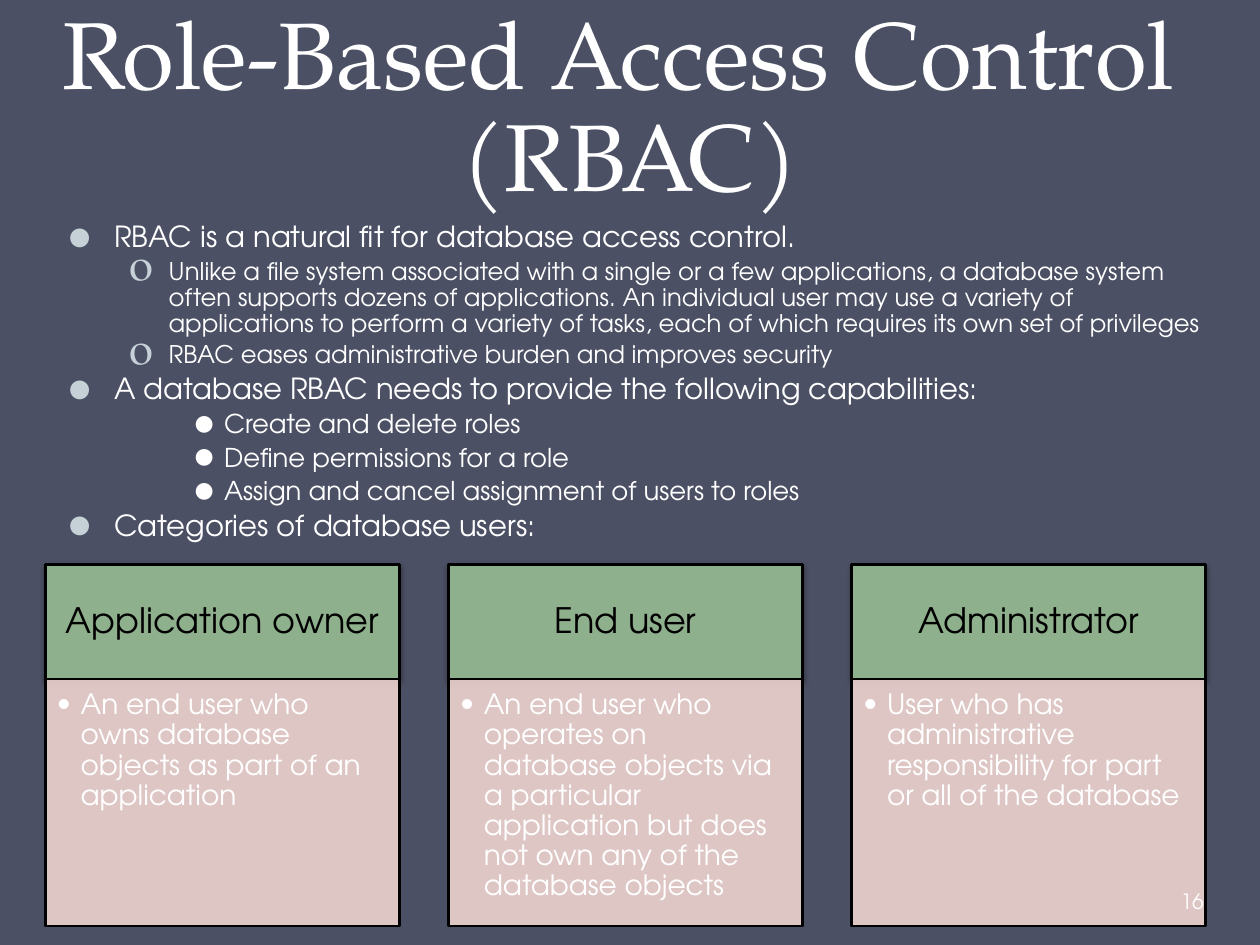
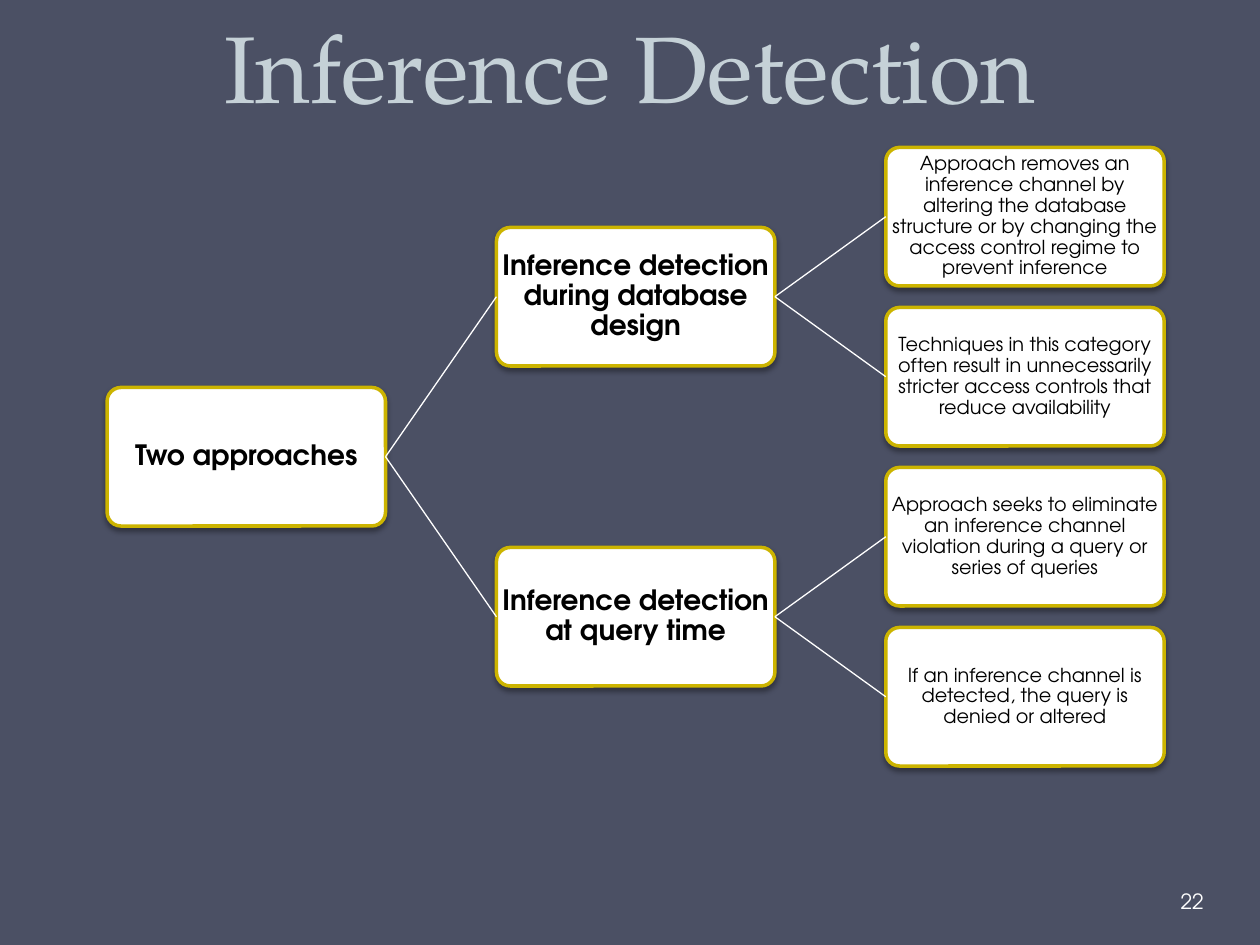
from dataclasses import dataclass

from lxml.etree import SubElement
from pptx import Presentation
from pptx.dml.color import RGBColor
from pptx.enum.shapes import MSO_CONNECTOR, MSO_SHAPE
from pptx.enum.text import MSO_ANCHOR, MSO_AUTO_SIZE, PP_ALIGN
from pptx.oxml.ns import qn
from pptx.util import Inches, Pt


@dataclass(frozen=True)
class Theme:
    """Colours, fonts and type sizes shared by the slides."""
    background: str = "4B5064"
    white: str = "FFFFFF"
    black: str = "000000"
    pale: str = "C5D1D7"
    green: str = "8FB08C"
    pink: str = "EED3D0"
    gold: str = "CCB400"
    title_font: str = "TeX Gyre Pagella"
    body_font: str = "TeX Gyre Adventor"
    title_size: float = 54
    title_leading: float = 58
    level_sizes: tuple = (16.6, 13.9, 14.8)
    card_head_size: float = 20
    card_body_size: float = 16
    branch_size: float = 16
    leaf_size: float = 11
    number_size: float = 12
    leading: float = 0.9


@dataclass(frozen=True)
class Bullet:
    """Bullet character with its colour, font, scale and indents in inches."""
    char: str
    color: str
    font: str
    scale: int
    margin: float
    hang: float


THEME = Theme()
LEVELS = (
    Bullet("•", THEME.pale, THEME.body_font, 180, 0.38, 0.38),
    Bullet("o", THEME.pale, THEME.title_font, 180, 0.81, 0.31),
    Bullet("•", THEME.white, THEME.body_font, 180, 1.25, 0.25),
)
CARD_BULLET = Bullet("•", THEME.white, THEME.body_font, 100, 0.19, 0.19)

RBAC_POINTS = (
    (0, "RBAC is a natural fit for database access control."),
    (1, "Unlike a file system associated with a single or a few applications, "
        "a database system often supports dozens of applications. An individual "
        "user may use a variety of applications to perform a variety of tasks, "
        "each of which requires its own set of privileges"),
    (1, "RBAC eases administrative burden and improves security"),
    (0, "A database RBAC needs to provide the following capabilities:"),
    (2, "Create and delete roles"),
    (2, "Define permissions for a role"),
    (2, "Assign and cancel assignment of users to roles"),
    (0, "Categories of database users:"),
)
USER_CATEGORIES = (
    ("Application owner",
     "An end user who owns database objects as part of an application"),
    ("End user",
     "An end user who operates on database objects via a particular application "
     "but does not own any of the database objects"),
    ("Administrator",
     "User who has administrative responsibility for part or all of the database"),
)
APPROACHES = (
    ("Inference detection during database design", (
        "Approach removes an inference channel by altering the database structure "
        "or by changing the access control regime to prevent inference",
        "Techniques in this category often result in unnecessarily stricter access "
        "controls that reduce availability")),
    ("Inference detection at query time", (
        "Approach seeks to eliminate an inference channel violation during a query "
        "or series of queries",
        "If an inference channel is detected, the query is denied or altered")),
)


def rgb(color):
    """Turn a hex string into a colour."""
    return RGBColor.from_string(color)


def add_run(p, text, size, color, font=THEME.body_font, bold=False):
    """Add one formatted run to a paragraph."""
    r = p.add_run()
    r.text = text
    r.font.size = Pt(size)
    r.font.name = font
    r.font.bold = bold
    r.font.color.rgb = rgb(color)


def add_bullet(p, bullet):
    """Give a paragraph a hanging bullet."""
    pPr = p._p.get_or_add_pPr()
    pPr.set("marL", str(Inches(bullet.margin)))
    pPr.set("indent", str(-Inches(bullet.hang)))
    SubElement(SubElement(pPr, qn("a:buClr")), qn("a:srgbClr"), val=bullet.color)
    SubElement(pPr, qn("a:buSzPct"), val=str(bullet.scale * 1000))
    SubElement(pPr, qn("a:buFont"), typeface=bullet.font)
    SubElement(pPr, qn("a:buChar"), char=bullet.char)


def set_frame(tf, anchor, insets):
    """Set wrapping, anchor and the left, top, right and bottom insets."""
    tf.word_wrap = True
    tf.auto_size = MSO_AUTO_SIZE.NONE
    tf.vertical_anchor = anchor
    (tf.margin_left, tf.margin_top,
     tf.margin_right, tf.margin_bottom) = map(Inches, insets)


def add_panel(slide, kind, box, fill, line, width, shadow=True):
    """Add a filled, outlined shape, with a soft shadow if asked."""
    sp = slide.shapes.add_shape(kind, *map(Inches, box))
    sp.fill.solid()
    sp.fill.fore_color.rgb = rgb(fill)
    sp.line.color.rgb = rgb(line)
    sp.line.width = Pt(width)
    sp.shadow.inherit = False
    if shadow:
        effects = sp._element.spPr.find(qn("a:effectLst"))
        outer = SubElement(effects, qn("a:outerShdw"), blurRad=str(Pt(3.1)),
                           dist=str(Pt(1.8)), dir="5400000", rotWithShape="0")
        clr = SubElement(outer, qn("a:srgbClr"), val=THEME.black)
        SubElement(clr, qn("a:alpha"), val="35000")
    return sp


def add_slide(prs, box, lines, color):
    """Add a title-only slide with its background and title."""
    slide = prs.slides.add_slide(prs.slide_layouts[5])
    slide.background.fill.solid()
    slide.background.fill.fore_color.rgb = rgb(THEME.background)
    title = slide.shapes.title
    title.left, title.top, title.width, title.height = map(Inches, box)
    set_frame(title.text_frame, MSO_ANCHOR.BOTTOM, (0.1, 0.05, 0.1, 0.05))
    p = title.text_frame.paragraphs[0]
    p.alignment = PP_ALIGN.CENTER
    p.line_spacing = Pt(THEME.title_leading)
    for i, line in enumerate(lines):
        if i:
            p.add_line_break()
        add_run(p, line, THEME.title_size, color, THEME.title_font)
    return slide


def add_number(slide, number):
    """Add the slide number at the lower right."""
    sp = slide.shapes.add_textbox(*map(Inches, (9.34, 6.95, 0.61, 0.4)))
    set_frame(sp.text_frame, MSO_ANCHOR.MIDDLE, (0.03, 0.05, 0.05, 0.05))
    add_run(sp.text_frame.paragraphs[0], number, THEME.number_size, THEME.white)


def add_outline(slide, box, points):
    """Add the multi-level bullet list."""
    tf = slide.shapes.add_textbox(*map(Inches, box)).text_frame
    set_frame(tf, MSO_ANCHOR.TOP, (0.1, 0.05, 0.1, 0.05))
    for i, (level, text) in enumerate(points):
        p = tf.add_paragraph() if i else tf.paragraphs[0]
        size = THEME.level_sizes[level]
        p.level = level
        add_bullet(p, LEVELS[level])
        p.line_spacing = THEME.leading
        p.space_before = Pt(round(0.2 * size, 1) if i else 0)
        add_run(p, text, size, THEME.white)


def add_card(slide, box, heading, text):
    """Add a heading band with a bulleted panel below it."""
    left, top, width, height = box
    head_height = 0.91
    head = add_panel(slide, MSO_SHAPE.RECTANGLE, (left, top, width, head_height),
                     THEME.green, THEME.black, 1.5)
    set_frame(head.text_frame, MSO_ANCHOR.MIDDLE, (0.16, 0.09, 0.16, 0.09))
    p = head.text_frame.paragraphs[0]
    p.alignment = PP_ALIGN.CENTER
    p.line_spacing = THEME.leading
    add_run(p, heading, THEME.card_head_size, THEME.black)

    panel = add_panel(slide, MSO_SHAPE.RECTANGLE,
                      (left, top + head_height, width, height - head_height),
                      THEME.pink, THEME.black, 1.5, shadow=False)
    clr = panel._element.spPr.find(qn("a:solidFill")).find(qn("a:srgbClr"))
    SubElement(clr, qn("a:alpha"), val="90000")
    set_frame(panel.text_frame, MSO_ANCHOR.TOP, (0.09, 0.09, 0.12, 0.14))
    p = panel.text_frame.paragraphs[0]
    p.alignment = PP_ALIGN.LEFT
    add_bullet(p, CARD_BULLET)
    p.line_spacing = THEME.leading
    add_run(p, text, THEME.card_body_size, THEME.white)


def add_cards(slide, box, cards):
    """Spread equal cards across the box."""
    left, top, width, height = box
    card_width = 2.81
    step = (width - card_width) / (len(cards) - 1)
    for i, (heading, text) in enumerate(cards):
        add_card(slide, (left + i * step, top, card_width, height), heading, text)


def add_node(slide, box, text, size, bold):
    """Add one rounded node of the tree."""
    sp = add_panel(slide, MSO_SHAPE.ROUNDED_RECTANGLE, box,
                   THEME.white, THEME.gold, 2)
    sp.adjustments[0] = 0.1
    set_frame(sp.text_frame, MSO_ANCHOR.MIDDLE, (0.01,) * 4)
    p = sp.text_frame.paragraphs[0]
    p.alignment = PP_ALIGN.CENTER
    p.line_spacing = THEME.leading
    add_run(p, text, size, THEME.black, bold=bold)
    return sp


def add_link(slide, parent, child):
    """Join the right side of a parent to the left side of its child."""
    cxn = slide.shapes.add_connector(MSO_CONNECTOR.STRAIGHT, 0, 0, 0, 0)
    cxn.begin_connect(parent, 3)
    cxn.end_connect(child, 1)
    cxn.line.color.rgb = rgb(THEME.white)
    cxn.line.width = Pt(0.75)
    SubElement(cxn._element.spPr, qn("a:effectLst"))


def add_tree(slide, box, root_text, branches):
    """Add a three-column tree, each parent centred on its children."""
    left, top, width, height = box
    node_width, node_height = 2.21, 1.1
    leaf_count = sum(len(leaves) for _, leaves in branches)
    col_step = (width - node_width) / 2
    row_step = (height - node_height) / (leaf_count - 1)

    def place(col, row, text):
        size = THEME.leaf_size if col == 2 else THEME.branch_size
        node_box = (left + col * col_step, top + row * row_step,
                    node_width, node_height)
        return add_node(slide, node_box, text, size, bold=col < 2)

    root = place(0, (leaf_count - 1) / 2, root_text)
    first_row = 0
    for text, leaves in branches:
        branch = place(1, first_row + (len(leaves) - 1) / 2, text)
        add_link(slide, root, branch)
        for row, leaf in enumerate(leaves, first_row):
            add_link(slide, branch, place(2, row, leaf))
        first_row += len(leaves)


def build_rbac(prs):
    """Build the role-based access control slide."""
    slide = add_slide(prs, (0, -0.03, 10, 1.75),
                      ("Role-Based Access Control ", "(RBAC)"), THEME.white)
    add_outline(slide, (0.43, 1.72, 9.29, 2.74), RBAC_POINTS)
    add_cards(slide, (0.36, 4.48, 9.21, 2.87), USER_CATEGORIES)
    add_number(slide, "16")


def build_inference(prs):
    """Build the inference detection slide."""
    slide = add_slide(prs, (0.5, 0, 9, 1.02), ("Inference Detection",), THEME.pale)
    add_tree(slide, (0.85, 1.17, 8.39, 4.91), "Two approaches", APPROACHES)
    add_number(slide, "22")


def main():
    """Build and save the presentation."""
    prs = Presentation()
    prs.slide_width, prs.slide_height = Inches(10), Inches(7.5)
    build_rbac(prs)
    build_inference(prs)
    prs.save("out.pptx")


if __name__ == "__main__":
    main()
